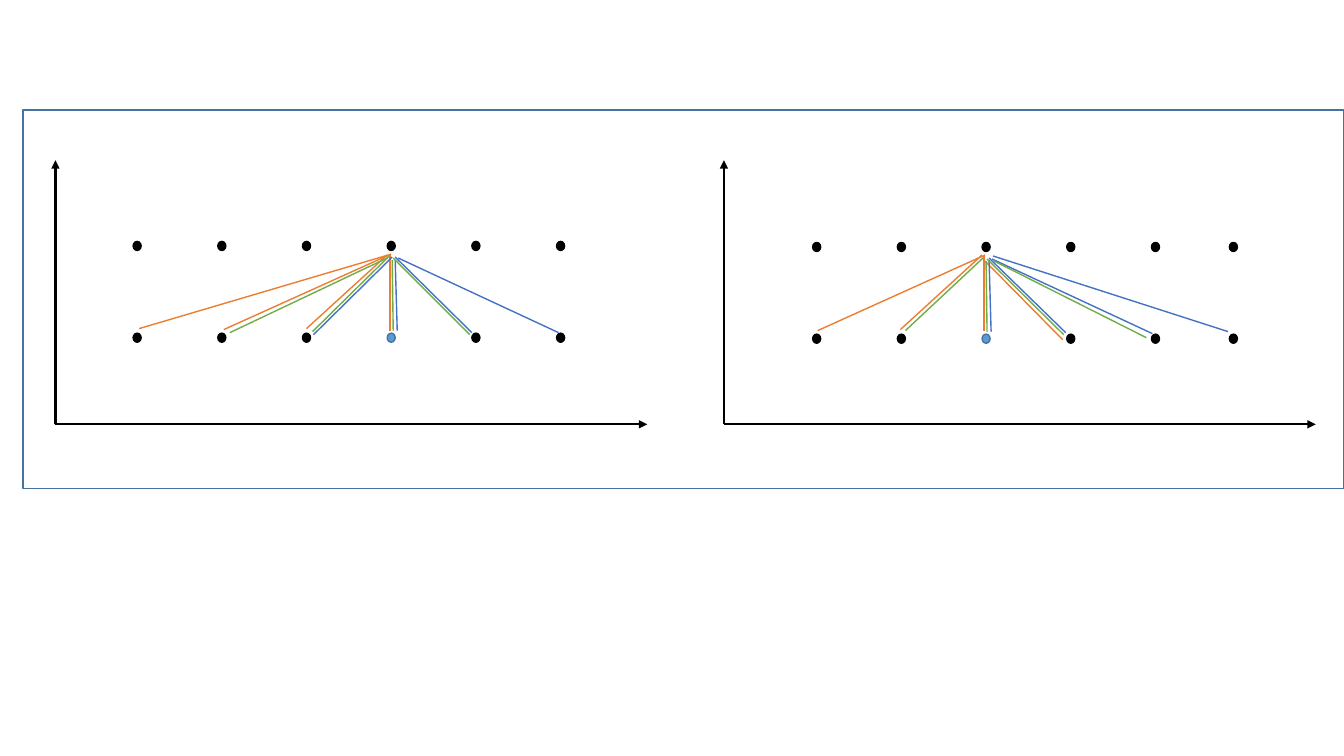
from pptx import Presentation
from pptx.dml.color import RGBColor
from pptx.enum.shapes import MSO_CONNECTOR, MSO_SHAPE
from pptx.oxml.ns import qn
from pptx.util import Inches, Pt
from lxml.etree import SubElement

BLACK, WHITE, STEEL, SKY = "000000", "FFFFFF", "43739E", "5B9BD5"
ORANGE, BLUE, GREEN = "ED7D31", "4472C4", "70AD47"
DOT_WIDTH, DOT_HEIGHT = 0.08, 0.09
COLUMN_GAP, ROW_GAP = 0.84, 0.91

# Each ray: foot x, foot y, tip x, tip y, in inches from the hub dot
LEFT_RAYS = {
    ORANGE: [(-0.01, 0.84, -0.01, 0.09), (-0.84, 0.82, -0.04, 0.09),
             (-1.66, 0.83, 0, 0.08), (-2.5, 0.82, -0.03, 0.09)],
    BLUE: [(0.8, 0.86, 0.04, 0.11), (1.66, 0.86, 0.07, 0.12),
           (0.06, 0.84, 0.04, 0.14), (-0.77, 0.88, 0.01, 0.11)],
    GREEN: [(-1.6, 0.86, -0.04, 0.12), (-0.78, 0.85, -0.02, 0.1),
            (0.02, 0.84, 0.01, 0.14), (0.78, 0.88, 0.02, 0.12)],
}
RIGHT_RAYS = {
    ORANGE: [(-0.02, 0.83, -0.02, 0.09), (-0.85, 0.82, -0.04, 0.08),
             (-1.67, 0.83, -0.01, 0.08), (0.76, 0.92, -0.01, 0.14)],
    BLUE: [(0.79, 0.85, 0.03, 0.11), (1.65, 0.86, 0.06, 0.12),
           (0.05, 0.84, 0.03, 0.13), (2.4, 0.84, 0.07, 0.09)],
    GREEN: [(-0.8, 0.83, -0.02, 0.1), (1.59, 0.9, 0.08, 0.14),
            (0.01, 0.84, 0, 0.14), (0.77, 0.87, 0.01, 0.12)],
}


def color(value):
    return RGBColor.from_string(value)


def add_figure(page, preset, box, fill, outline):
    figure = page.shapes.add_shape(preset, *map(Inches, box))
    figure.shadow.inherit = False
    figure.fill.solid()
    figure.fill.fore_color.rgb = color(fill)
    figure.line.color.rgb = color(outline)
    figure.line.width = Pt(1)


def add_line(page, start, end, stroke, width=1, arrow=False):
    line = page.shapes.add_connector(
        MSO_CONNECTOR.STRAIGHT, *map(Inches, (*start, *end)))
    line.line.color.rgb = color(stroke)
    line.line.width = Pt(width)
    properties = line._element.spPr
    if arrow:
        SubElement(properties.find(qn("a:ln")), qn("a:tailEnd"), type="triangle")
    SubElement(properties, qn("a:effectLst"))


def add_axes(page, box):
    left, top, width, height = box
    origin = (left, top + height)
    for end in [(left, top), (left + width, top + height)]:
        add_line(page, origin, end, BLACK, width=1.5, arrow=True)


def add_dots(page, hub, columns):
    hub_x, hub_y = hub
    for row in (1, 0):
        for column in columns:
            box = (hub_x + column * COLUMN_GAP - DOT_WIDTH / 2,
                   hub_y + row * ROW_GAP - DOT_HEIGHT / 2,
                   DOT_WIDTH, DOT_HEIGHT)
            highlighted = row == 1 and column == 0
            fill, outline = (SKY, STEEL) if highlighted else (BLACK, BLACK)
            add_figure(page, MSO_SHAPE.OVAL, box, fill, outline)


def add_rays(page, hub, rays):
    hub_x, hub_y = hub
    for stroke, spans in rays.items():
        for foot_x, foot_y, tip_x, tip_y in spans:
            add_line(page, (hub_x + foot_x, hub_y + foot_y),
                     (hub_x + tip_x, hub_y + tip_y), stroke)


def add_panel(page, box, hub_offset, columns, rays):
    hub = (box[0] + hub_offset[0], box[1] + hub_offset[1])
    add_axes(page, box)
    add_dots(page, hub, columns)
    add_rays(page, hub, rays)


def main():
    deck = Presentation()
    deck.slide_width, deck.slide_height = Inches(13.33), Inches(7.5)
    page = deck.slides.add_slide(deck.slide_layouts[6])

    # Frame around both panels
    add_figure(page, MSO_SHAPE.RECTANGLE, (0.23, 1.09, 13.1, 3.76), WHITE, STEEL)

    # Left and right panels; the last right column sits slightly closer
    add_panel(page, (0.55, 1.59, 5.87, 2.62), (3.33, 0.85),
              range(-3, 3), LEFT_RAYS)
    add_panel(page, (7.18, 1.59, 5.87, 2.62), (2.6, 0.86),
              [-2, -1, 0, 1, 2, 2.92], RIGHT_RAYS)

    deck.save("out.pptx")


if __name__ == "__main__":
    main()
